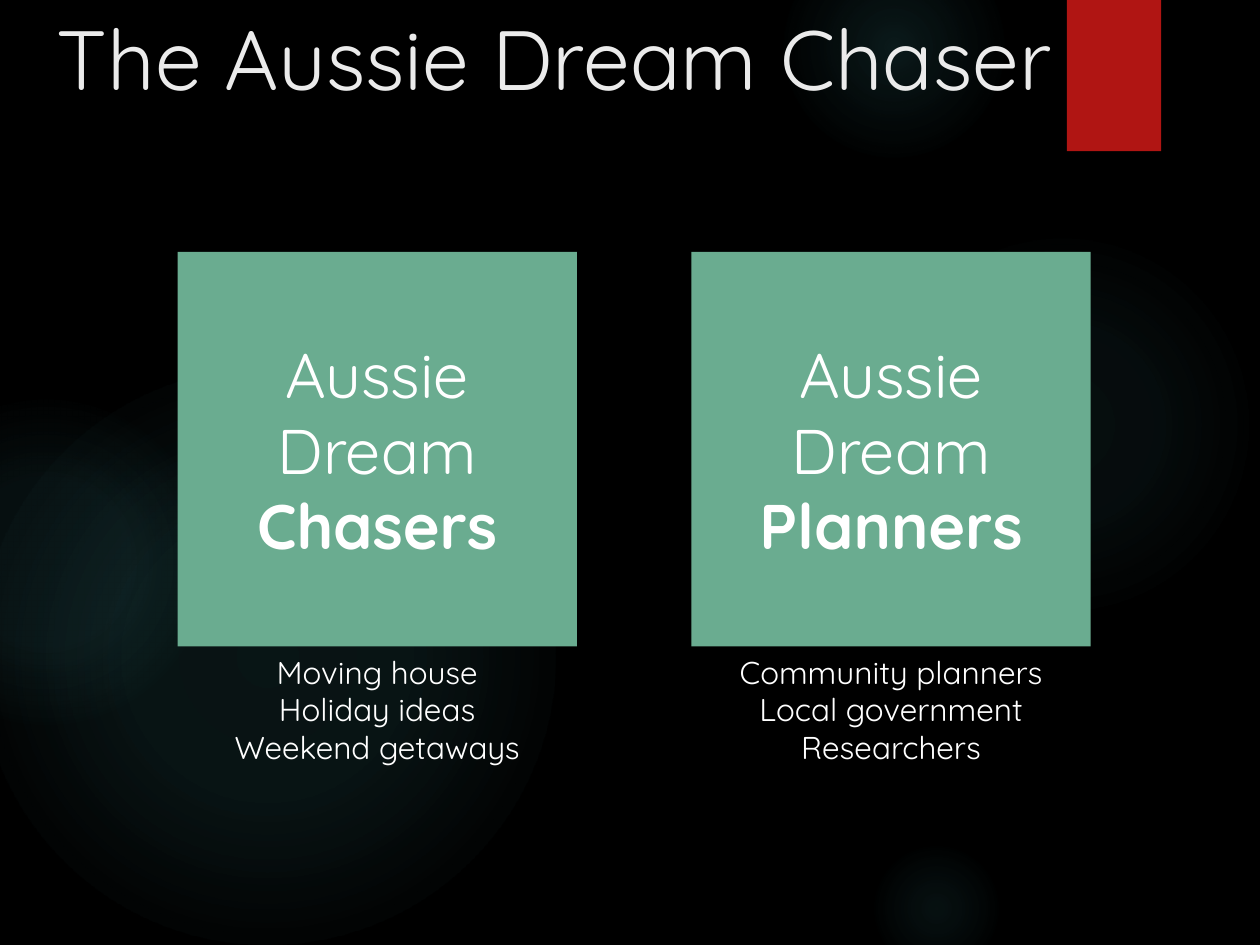
"""Build the Aussie Dream Chaser slide with its two audience groups."""
from lxml import etree
from pptx import Presentation
from pptx.dml.color import RGBColor
from pptx.enum.shapes import MSO_SHAPE
from pptx.enum.text import MSO_ANCHOR, PP_ALIGN
from pptx.oxml import parse_xml
from pptx.util import Cm, Pt

RECTANGLE, OVAL = MSO_SHAPE.RECTANGLE, MSO_SHAPE.OVAL
TOP, MIDDLE, BOTTOM = MSO_ANCHOR.TOP, MSO_ANCHOR.MIDDLE, MSO_ANCHOR.BOTTOM
CENTER, RIGHT = PP_ALIGN.CENTER, PP_ALIGN.RIGHT
DRAWING_NS = "http://schemas.openxmlformats.org/drawingml/2006/main"

TITLE = "The Aussie Dream Chaser"
SHARED_NAME = "Aussie Dream "
AUDIENCES = [
    ("Chasers", ["Moving house", "Holiday ideas", "Weekend getaways"]),
    ("Planners", ["Community planners", "Local government", "Researchers"]),
]
GLOWS = [
    (17.5, 4.65, 7.82, [(0, 7), (36, 6), (69, 0)]),
    (15.8, -1.27, 4.45, [(0, 14), (36, 7), (73, 0)]),
    (17.5, 16.94, 2.74, [(0, 9), (36, 5), (66, 0)]),
    (-0.43, 7.42, 11.63, [(0, 11), (36, 10), (75, 0)]),
    (-2.34, 8.05, 6.55, [(0, 8), (36, 8), (72, 0)]),
]
BLACK, GLOW, RED, GREEN = "000000", "50B9C1", "B01513", "6AAC90"
TITLE_FORMAT = {"name": "Quicksand", "size": Pt(48)}
NAME_FORMAT = {"name": "Quicksand", "size": Pt(36)}
DETAIL_FORMAT = {"name": "Quicksand", "size": Pt(18)}
FIRST_LEFT, CARD_TOP, CARD_WIDTH, CARD_HEIGHT, CARD_STEP = 3.58, 5.08, 8.05, 7.95, 10.36


def color(hex_value):
    return RGBColor.from_string(hex_value)


def add_block(slide, kind, box, fill):
    block = slide.shapes.add_shape(kind, *map(Cm, box))
    block.shadow.inherit = False
    block.fill.solid()
    block.fill.fore_color.rgb = color(fill)
    block.line.fill.background()
    return block


def add_glow(slide, left, top, size, stops):
    glow = add_block(slide, OVAL, (left, top, size, size), GLOW)
    stop_xml = "".join(
        f'<a:gs pos="{position * 1000}"><a:srgbClr val="{GLOW}">'
        f'<a:alpha val="{opacity * 1000}"/></a:srgbClr></a:gs>'
        for position, opacity in stops
    )
    gradient = parse_xml(
        f'<a:gradFill xmlns:a="{DRAWING_NS}" rotWithShape="1"><a:gsLst>{stop_xml}</a:gsLst>'
        '<a:path path="circle"><a:fillToRect l="50000" t="50000" r="50000" b="50000"/>'
        "</a:path></a:gradFill>"
    )
    properties = glow.element.spPr
    solid = properties.find(etree.QName(DRAWING_NS, "solidFill").text)
    properties.replace(solid, gradient)


def write(shape, lines, text_format, ink, align, anchor):
    frame = shape.text_frame
    frame.word_wrap = True
    frame.vertical_anchor = anchor
    for index, line in enumerate(lines):
        paragraph = frame.add_paragraph() if index else frame.paragraphs[0]
        paragraph.alignment = align
        for words, bold in line:
            run = paragraph.add_run()
            run.text = words
            for key, value in {**text_format, "bold": bold}.items():
                setattr(run.font, key, value)
            run.font.color.rgb = color(ink)


def main():
    deck = Presentation()
    deck.slide_width, deck.slide_height = Cm(25.4), Cm(19.05)
    slide = deck.slides.add_slide(deck.slide_layouts[6])
    slide.background.fill.solid()
    slide.background.fill.fore_color.rgb = color(BLACK)

    for glow in GLOWS:
        add_glow(slide, *glow)
    add_block(slide, RECTANGLE, (21.51, 0, 1.9, 3.05), RED)

    title = slide.shapes.add_textbox(0, 0, Cm(21.46), Cm(2.29))
    write(title, [[(TITLE, False)]], TITLE_FORMAT, "EBEBEB", RIGHT, BOTTOM)

    for index, (audience, details) in enumerate(AUDIENCES):
        left = FIRST_LEFT + index * CARD_STEP
        card = add_block(slide, RECTANGLE, (left, CARD_TOP, CARD_WIDTH, CARD_HEIGHT), GREEN)
        name = [(SHARED_NAME, False), (audience, True)]
        write(card, [name], NAME_FORMAT, "FFFFFF", CENTER, MIDDLE)
        caption_box = (left, CARD_TOP + CARD_HEIGHT, CARD_WIDTH, 2.57)
        caption = slide.shapes.add_textbox(*map(Cm, caption_box))
        lines = [[(detail, False)] for detail in details]
        write(caption, lines, DETAIL_FORMAT, "FFFFFF", CENTER, TOP)

    deck.save("out.pptx")


if __name__ == "__main__":
    main()
